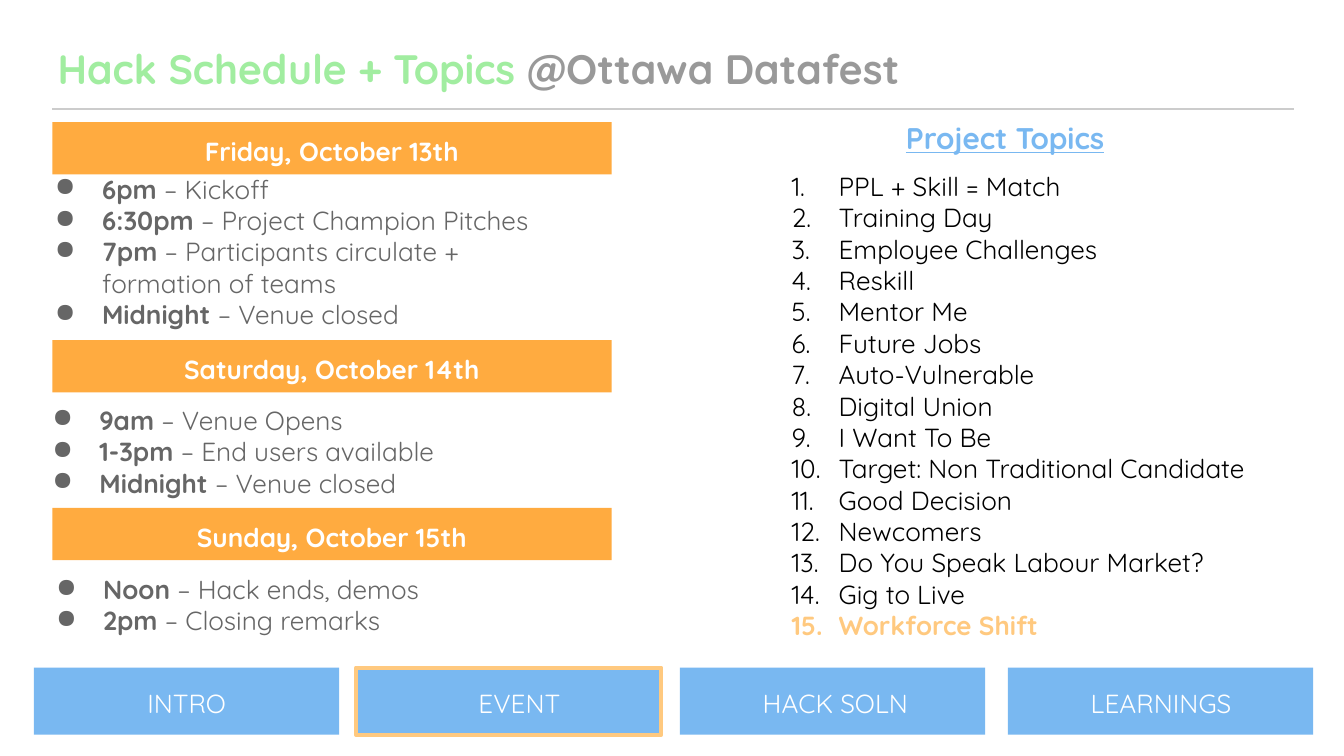
import pptx
import pptx.util
import pptx.dml.color
import pptx.enum.shapes
import pptx.enum.text
import pptx.oxml
import pptx.oxml.ns

Cm, Pt = pptx.util.Cm, pptx.util.Pt
FONT = "Quicksand"
BLUE, GOLD, GREY, WHITE = "79B8F1", "FFC97F", "666666", "FFFFFF"

# Tab: name, left of bar, left of label, width of label
TABS = [
    ("INTRO", 0.64, 1.22, 4.62),
    ("EVENT", 6.73, 8.08, 3.48),
    ("HACK SOLN", 12.85, 13.11, 5.36),
    ("LEARNINGS", 19.05, 19.94, 4.01),
]
ACTIVE = "EVENT"

# Day: heading, top of bar, list box, (time, event) pairs
DAYS = [
    ("Friday, October 13th", 2.31, (0.41, 3.02, 10.26, 3.43), [
        ("6pm", " – Kickoff"),
        ("6:30pm", " – Project Champion Pitches"),
        ("7pm", " – Participants circulate + formation of teams"),
        ("Midnight ", "– Venue closed")]),
    ("Saturday, October 14th", 6.43, (0.36, 7.39, 10.26, 2.16), [
        ("9am", " – Venue Opens"),
        ("1-3pm ", "– End users available"),
        ("Midnight ", "– Venue closed")]),
    ("Sunday, October 15th", 9.6, (0.43, 10.59, 8.26, 1.65), [
        ("Noon", " – Hack ends, demos"),
        ("2pm ", "– Closing remarks")]),
]

TOPICS = [
    "PPL + Skill = Match", "Training Day", "Employee Challenges", "Reskill",
    "Mentor Me", "Future Jobs", "Auto-Vulnerable", "Digital Union",
    "I Want To Be", "Target: Non Traditional Candidate", "Good Decision",
    "Newcomers", "Do You Speak Labour Market?", "Gig to Live",
    "Workforce Shift",
]
CHOSEN = "Workforce Shift"


def color(code):
    return pptx.dml.color.RGBColor.from_string(code)


def add_run(para, text, code, size=14, bold=False, under=False):
    run = para.add_run()
    run.text = text
    font = run.font
    font.name, font.size, font.bold = FONT, Pt(size), bold
    font.color.rgb = color(code)
    if under:
        font.underline = True


def set_mark(para, code, tag, **attrs):
    """Give a paragraph a hanging bullet or number."""
    props = para._p.get_or_add_pPr()
    props.set("marL", str(Cm(1.27)))
    props.set("indent", str(-Cm(0.89)))
    tint = pptx.oxml.parse_xml(
        f'<a:buClr {pptx.oxml.ns.nsdecls("a")}><a:srgbClr val="{code}"/></a:buClr>')
    mark = pptx.oxml.parse_xml(f'<a:{tag} {pptx.oxml.ns.nsdecls("a")}/>')
    for key, value in attrs.items():
        mark.set(key, value)
    props.extend([tint, mark])


def set_frame(shape):
    frame = shape.text_frame
    frame.word_wrap = True
    frame.vertical_anchor = pptx.enum.text.MSO_ANCHOR.TOP
    frame.margin_left = frame.margin_right = Cm(0.25)
    frame.margin_top = frame.margin_bottom = Cm(0.25)
    return frame


def add_text(slide, *box):
    return set_frame(slide.shapes.add_textbox(*map(Cm, box)))


def add_bar(slide, box, fill, edge=None):
    kind = pptx.enum.shapes.MSO_SHAPE.RECTANGLE
    bar = slide.shapes.add_shape(kind, *map(Cm, box))
    bar.shadow.inherit = False
    bar.fill.solid()
    bar.fill.fore_color.rgb = color(fill)
    if edge:
        bar.line.color.rgb = color(edge)
        bar.line.width = Pt(2.25)
    else:
        bar.line.fill.background()
    return bar


def add_center(frame, text, bold=False):
    para = frame.paragraphs[0]
    para.alignment = pptx.enum.text.PP_ALIGN.CENTER
    add_run(para, text, WHITE, bold=bold)


def add_rule(slide, left, right, top):
    kind = pptx.enum.shapes.MSO_CONNECTOR.STRAIGHT
    rule = slide.shapes.add_connector(kind, Cm(left), Cm(top), Cm(right), Cm(top))
    rule.line.color.rgb = color("CCCCCC")
    rule.line.width = Pt(0.75)
    rule._element.spPr.append(pptx.oxml.parse_xml(
        f'<a:effectLst {pptx.oxml.ns.nsdecls("a")}/>'))


def add_paras(frame, count):
    """Return the first paragraph and as many new ones as needed."""
    return [frame.paragraphs[0]] + [frame.add_paragraph() for _ in range(count - 1)]


def add_day(slide, name, top, box, events):
    bar = add_bar(slide, (0.99, top, 10.57, 0.99), "FFAB40")
    add_center(set_frame(bar), name, bold=True)
    frame = add_text(slide, *box)
    for para, (time, event) in zip(add_paras(frame, len(events)), events):
        set_mark(para, GREY, "buChar", char="●")
        add_run(para, time, GREY, bold=True)
        add_run(para, event, GREY)


def add_topics(slide):
    head = add_text(slide, 16.87, 2.01, 4.62, 0.99).paragraphs[0]
    add_run(head, "Project Topics", BLUE, size=16, bold=True, under=True)
    frame = add_text(slide, 14.33, 2.97, 9.63, 8.97)
    for para, topic in zip(add_paras(frame, len(TOPICS)), TOPICS):
        code = GOLD if topic == CHOSEN else "000000"
        set_mark(para, code, "buAutoNum", type="arabicPeriod")
        add_run(para, topic, code, bold=topic == CHOSEN)


def add_tabs(slide):
    for name, left, _, _ in TABS:
        edge = GOLD if name == ACTIVE else None
        add_bar(slide, (left, 12.62, 5.77, 1.27), BLUE, edge)
    for name, _, left, width in TABS:
        add_center(add_text(slide, left, 12.75, width, 0.99), name)


def main():
    deck = pptx.Presentation()
    deck.slide_width, deck.slide_height = Cm(25.4), Cm(14.29)
    slide = deck.slides.add_slide(deck.slide_layouts[6])

    # Navigation
    add_tabs(slide)

    # Title
    title = add_text(slide, 0.84, 0.58, 25.4, 1.65).paragraphs[0]
    add_run(title, "Hack Schedule + Topics ", "A1EDA0", size=22, bold=True)
    add_run(title, "@Ottawa Datafest", "999999", size=22, bold=True)
    add_rule(slide, 0.99, 24.46, 2.06)

    # Schedule and topics
    for day in DAYS:
        add_day(slide, *day)
    add_topics(slide)

    deck.save("out.pptx")


if __name__ == "__main__":
    main()
